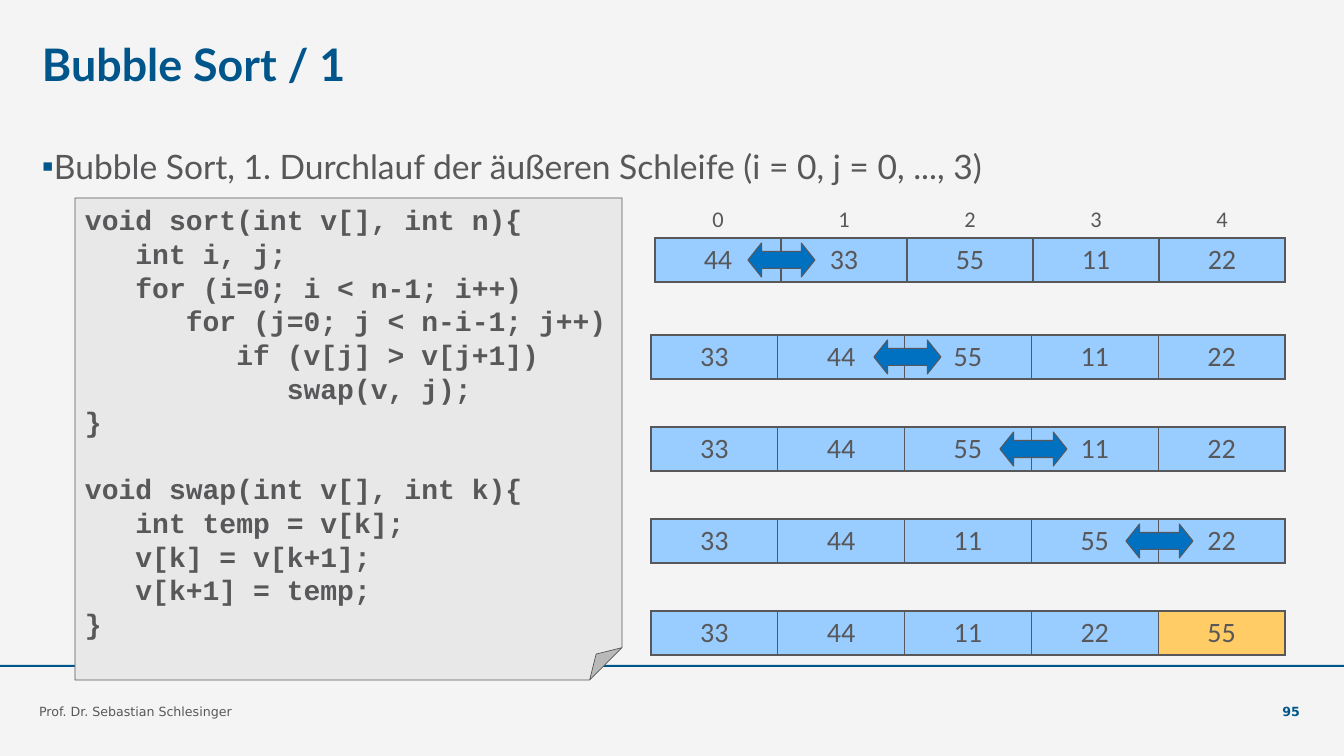
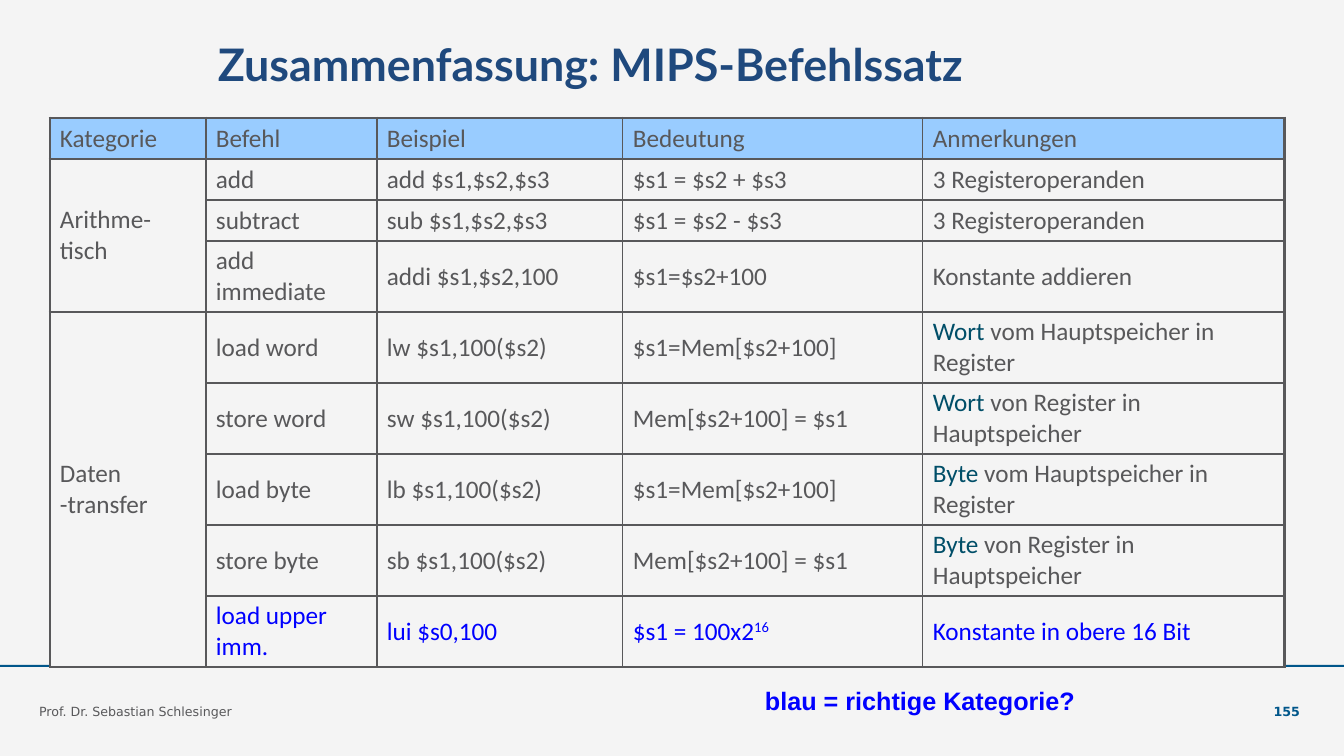
"""Build two lecture slides: a bubble sort trace and a MIPS instruction table."""
from lxml import etree
from pptx import Presentation
from pptx.dml.color import RGBColor
from pptx.enum.shapes import MSO_SHAPE
from pptx.enum.text import MSO_ANCHOR, PP_ALIGN
from pptx.oxml.ns import qn
from pptx.util import Emu, Pt

RECTANGLE, FOLDED = MSO_SHAPE.RECTANGLE, MSO_SHAPE.FOLDED_CORNER
DOUBLE_ARROW = MSO_SHAPE.LEFT_RIGHT_ARROW
TOP, MIDDLE, BOTTOM = MSO_ANCHOR.TOP, MSO_ANCHOR.MIDDLE, MSO_ANCHOR.BOTTOM
LEFT, CENTER, RIGHT = PP_ALIGN.LEFT, PP_ALIGN.CENTER, PP_ALIGN.RIGHT

EMU_PER_PX = 914400 / 100.8
SLIDE_WIDTH, SLIDE_HEIGHT = 1344, 756
PLAIN_TABLE_STYLE = "{2D5ABB26-0587-4C30-8999-92F81FD0307C}"
THIN, THICK = 1, 2.25

COLORS = {
    "paper": "F4F4F4", "brand": "00568A", "text": "58585A", "navy": "1F497D",
    "cell": "99CCFF", "sorted": "FFCC66", "arrow": "0070C0", "note": "E8E8E8",
    "keyword": "004E68", "blue": "0000FF",
}
STYLES = {
    "title": {"name": "Lato", "size": 32, "bold": True, "color": "brand"},
    "body": {"name": "Lato", "size": 24, "color": "text"},
    "footer": {"name": "DejaVu Sans", "size": 9, "color": "text"},
    "number": {"name": "DejaVu Sans", "size": 9, "bold": True, "color": "brand"},
    "code": {"name": "Courier New", "size": 20, "bold": True, "color": "text"},
    "index": {"name": "Calibri", "size": 16, "color": "text"},
    "value": {"name": "Calibri", "size": 20, "color": "text"},
    "table": {"name": "Calibri", "size": 18, "color": "text"},
    "remark": {"name": "Arial", "size": 18, "bold": True, "color": "blue"},
}

AUTHOR = "Prof. Dr. Sebastian Schlesinger"
SORT_BULLET = "Bubble Sort, 1. Durchlauf der äußeren Schleife (i = 0, j = 0, ..., 3)"
SORT_FUNCTION = [
    "void sort(int v[], int n){",
    "   int i, j;",
    "   for (i=0; i < n-1; i++)",
    "      for (j=0; j < n-i-1; j++)",
    "         if (v[j] > v[j+1])",
    "            swap(v, j);",
    "}",
]
SWAP_FUNCTION = [
    "void swap(int v[], int k){",
    "   int temp = v[k];",
    "   v[k] = v[k+1];",
    "   v[k+1] = temp;",
    "}",
]
PASSES = [
    [44, 33, 55, 11, 22],
    [33, 44, 55, 11, 22],
    [33, 44, 55, 11, 22],
    [33, 44, 11, 55, 22],
    [33, 44, 11, 22, 55],
]

KEYWORD, BLUE = {"color": "keyword"}, {"color": "blue"}
SUPERSCRIPT = {"color": "blue", "baseline": 30000}
COLUMN_WIDTHS = [156, 171, 246, 300, 362]
ROW_HEIGHTS = [41] * 3 + [71] * 6
CATEGORY_SPANS = [(1, 3), (4, 8)]
INSTRUCTIONS = [
    ["Kategorie", "Befehl", "Beispiel", "Bedeutung", "Anmerkungen"],
    ["Arithme-tisch", "add", "add $s1,$s2,$s3", "$s1 = $s2 + $s3", "3 Registeroperanden"],
    ["", "subtract", "sub $s1,$s2,$s3", "$s1 = $s2 - $s3", "3 Registeroperanden"],
    ["", "add immediate", "addi $s1,$s2,100", "$s1=$s2+100", "Konstante addieren"],
    ["Daten -transfer", "load word", "lw $s1,100($s2)", "$s1=Mem[$s2+100]",
     [("Wort", KEYWORD), (" vom Hauptspeicher in Register", {})]],
    ["", "store word", "sw $s1,100($s2)", "Mem[$s2+100] = $s1",
     [("Wort", KEYWORD), (" von Register in Hauptspeicher", {})]],
    ["", "load byte", "lb $s1,100($s2)", "$s1=Mem[$s2+100]",
     [("Byte", KEYWORD), (" vom Hauptspeicher in Register", {})]],
    ["", "store byte", "sb $s1,100($s2)", "Mem[$s2+100] = $s1",
     [("Byte", KEYWORD), (" von Register in Hauptspeicher", {})]],
    ["", [("load upper imm.", BLUE)], [("lui $s0,100", BLUE)],
     [("$s1 = 100x2", BLUE), ("16", SUPERSCRIPT)],
     [("Konstante in obere 16 Bit", BLUE)]],
]


def px(length):
    return Emu(round(length * EMU_PER_PX))


def rgb(color):
    return RGBColor.from_string(COLORS[color])


def write_paragraph(paragraph, content, style, align=LEFT):
    paragraph.alignment = align
    runs = [(content, {})] if isinstance(content, str) else content
    for text, changes in runs:
        run = paragraph.add_run()
        run.text = text
        for attribute, value in {**STYLES[style], **changes}.items():
            if attribute == "color":
                run.font.color.rgb = rgb(value)
            elif attribute == "baseline":
                run._r.get_or_add_rPr().set("baseline", str(value))
            else:
                setattr(run.font, attribute, Pt(value) if attribute == "size" else value)


def set_frame(frame, margins, anchor):
    frame.word_wrap = True
    frame.vertical_anchor = anchor
    for side, margin in zip(("left", "top", "right", "bottom"), margins):
        setattr(frame, f"margin_{side}", px(margin))


def add_text(slide, box, content, style, anchor=TOP, align=LEFT, margins=(0, 0, 0, 0)):
    frame = slide.shapes.add_textbox(*map(px, box)).text_frame
    set_frame(frame, margins, anchor)
    write_paragraph(frame.paragraphs[0], content, style, align)
    return frame.paragraphs[0]


def add_shape(slide, preset, box, fill, line_width=0):
    shape = slide.shapes.add_shape(preset, *map(px, box))
    shape.shadow.inherit = False
    shape.fill.solid()
    shape.fill.fore_color.rgb = rgb(fill)
    if line_width:
        shape.line.color.rgb = rgb("text")
        shape.line.width = Pt(line_width)
    else:
        shape.line.fill.background()
    return shape


def add_bullet(paragraph, indent):
    properties = paragraph._p.get_or_add_pPr()
    properties.set("marL", str(px(indent)))
    properties.set("indent", str(-px(indent)))
    color = etree.SubElement(properties, qn("a:buClr"))
    etree.SubElement(color, qn("a:srgbClr"), val=COLORS["brand"])
    etree.SubElement(properties, qn("a:buFont"), typeface="Arial")
    etree.SubElement(properties, qn("a:buChar"), char="▪")


def add_table(slide, left, top, widths, heights):
    box = map(px, (left, top, sum(widths), sum(heights)))
    table = slide.shapes.add_table(len(heights), len(widths), *box).table
    table._tbl.tblPr.find(qn("a:tableStyleId")).text = PLAIN_TABLE_STYLE
    table.first_row = table.horz_banding = False
    for column, width in zip(table.columns, widths):
        column.width = px(width)
    for row, height in zip(table.rows, heights):
        row.height = px(height)
    return table


def format_cell(cell, content, style, fill, borders, align=LEFT, margins=(10, 5, 10, 5)):
    properties = cell._tc.get_or_add_tcPr()
    for side in "LRTB":
        if side in borders:
            line = etree.SubElement(properties, qn(f"a:ln{side}"), w=str(int(Pt(borders[side]))))
            solid = etree.SubElement(line, qn("a:solidFill"))
            etree.SubElement(solid, qn("a:srgbClr"), val=COLORS["text"])
    if fill:
        cell.fill.solid()
        cell.fill.fore_color.rgb = rgb(fill)
    else:
        cell.fill.background()
    for side, margin in zip(("left", "top", "right", "bottom"), margins):
        setattr(cell, f"margin_{side}", px(margin))
    cell.vertical_anchor = MIDDLE
    if content:
        write_paragraph(cell.text_frame.paragraphs[0], content, style, align)


def add_base_slide(presentation, title, title_left, title_color, number):
    slide = presentation.slides.add_slide(presentation.slide_layouts[6])
    add_shape(slide, RECTANGLE, (0, 665, SLIDE_WIDTH, 2), "brand")
    add_text(slide, (title_left, 37, 1050, 63), [(title, {"color": title_color})], "title")
    add_text(slide, (39, 680, 700, 39), AUTHOR, "footer", BOTTOM)
    add_text(slide, (1213, 680, 87, 39), number, "number", BOTTOM, RIGHT)
    return slide


def add_code(slide):
    note = add_shape(slide, FOLDED, (75, 198, 547, 482), "note", 0.5)
    guides = note._element.spPr.find(qn("a:prstGeom")).find(qn("a:avLst"))
    etree.SubElement(guides, qn("a:gd"), name="adj", fmla="val 6700")
    frame = note.text_frame
    set_frame(frame, (10, 5, 10, 5), TOP)
    for index, code in enumerate(SORT_FUNCTION + SWAP_FUNCTION):
        paragraph = frame.add_paragraph() if index else frame.paragraphs[0]
        write_paragraph(paragraph, code, "code")
        paragraph.line_spacing = Pt(24)
        if index == len(SORT_FUNCTION):
            paragraph.space_before = Pt(24)


def add_pass(slide, step, values):
    count, right, index_height, height = len(values), 1285, 37, 44
    top = 335 + 92 * (step - 1) if step else 238
    width = 126.8 if step else 126
    heights = [height] if step else [index_height, height]
    table = add_table(slide, right - count * width, top - sum(heights[:-1]),
                      [width] * count, heights)
    flat = {"align": CENTER, "margins": (0, 0, 0, 0)}
    for column, value in enumerate(values):
        last = column == count - 1
        borders = {"L": THIN, "T": THIN, "B": THIN, "R": THICK if last else THIN}
        fill = "sorted" if last and step == len(PASSES) - 1 else "cell"
        format_cell(table.cell(len(heights) - 1, column), str(value), "value", fill,
                    borders, **flat)
        if step == 0:
            format_cell(table.cell(0, column), str(column), "index", None, {"B": THIN}, **flat)
    if step < count - 1:
        arrow_box = (748 + 126 * step, top + 5, 67, 34)
        arrow = add_shape(slide, DOUBLE_ARROW, arrow_box, "arrow", 0.75)
        arrow.adjustments[1] = 0.4


def add_instruction_table(slide):
    table = add_table(slide, 50, 118, COLUMN_WIDTHS, ROW_HEIGHTS)
    last_row, last_column = len(ROW_HEIGHTS) - 1, len(COLUMN_WIDTHS) - 1
    for row, contents in enumerate(INSTRUCTIONS):
        for column, content in enumerate(contents):
            borders = {
                "L": THIN if column else THICK,
                "R": THICK if column == last_column else THIN,
                "T": THIN if row else THICK,
                "B": THICK if row == last_row else THIN,
            }
            format_cell(table.cell(row, column), content, "table",
                        "paper" if row else "cell", borders)
    for first, last in CATEGORY_SPANS:
        table.cell(first, 0).merge(table.cell(last, 0))


def main():
    presentation = Presentation()
    presentation.slide_width, presentation.slide_height = px(SLIDE_WIDTH), px(SLIDE_HEIGHT)
    background = presentation.slide_master.background.fill
    background.solid()
    background.fore_color.rgb = rgb("paper")

    sort_slide = add_base_slide(presentation, "Bubble Sort / 1", 42, "brand", "95")
    bullet = add_text(sort_slide, (42, 143, 1134, 58), SORT_BULLET, "body")
    add_bullet(bullet, 12)
    bullet.line_spacing = 1.08
    add_code(sort_slide)
    for step, values in enumerate(PASSES):
        add_pass(sort_slide, step, values)

    summary_slide = add_base_slide(presentation, "Zusammenfassung: MIPS-Befehlssatz",
                                   218, "navy", "155")
    add_instruction_table(summary_slide)
    add_text(summary_slide, (755, 680, 344, 40), "blau = richtige Kategorie?", "remark",
             margins=(10, 5, 10, 5))
    presentation.save("out.pptx")


if __name__ == "__main__":
    main()
